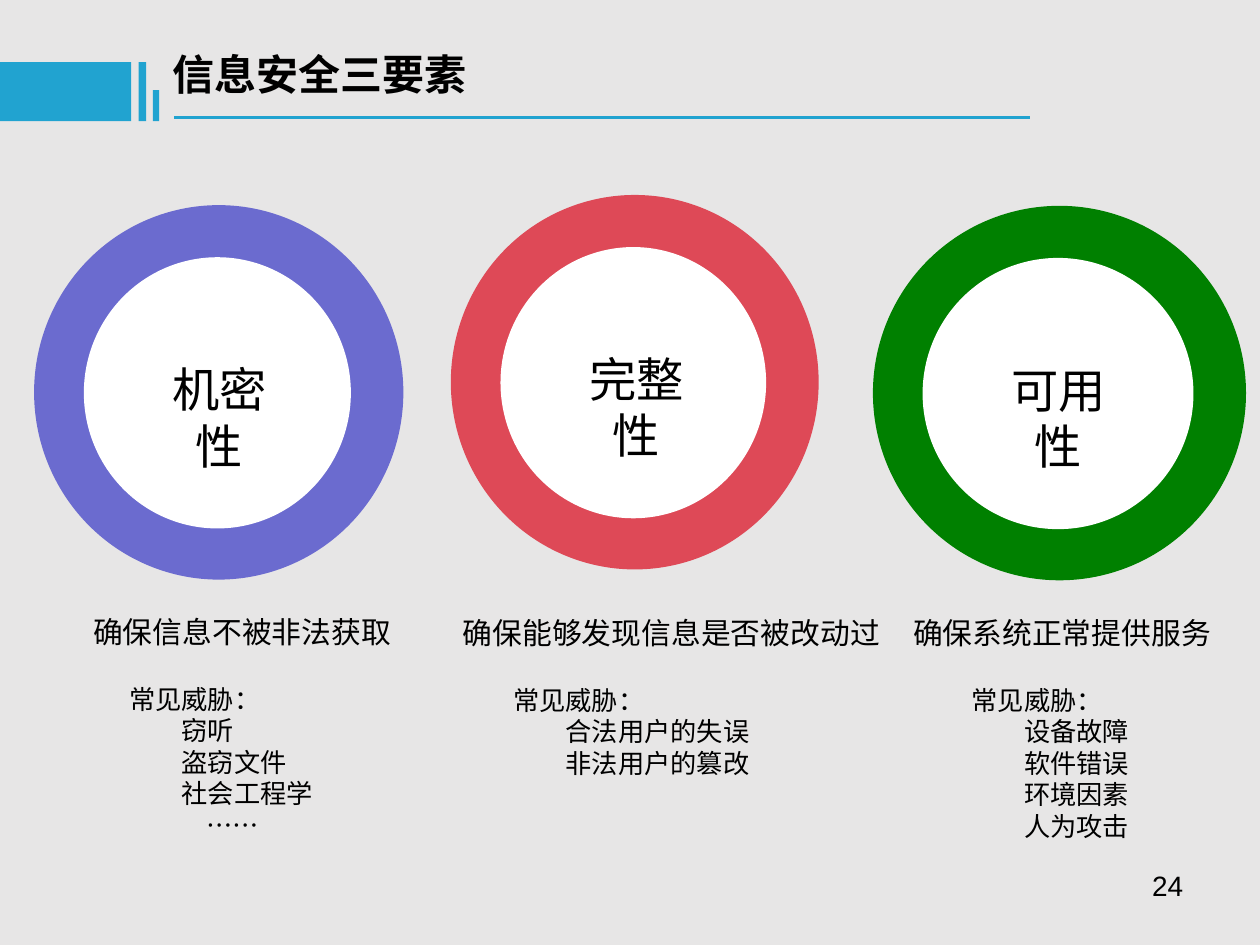
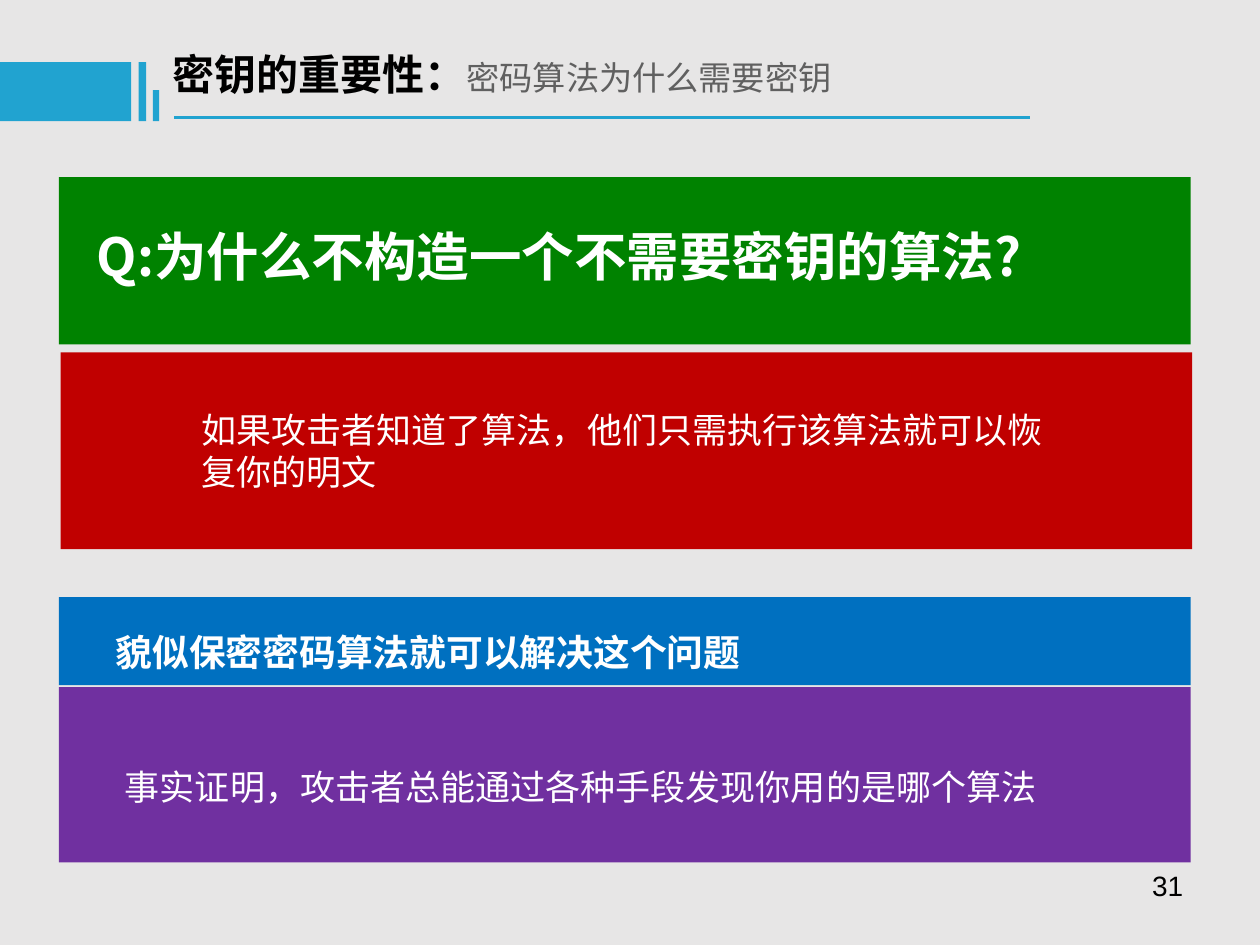
import pptx
import pptx.dml.color
import pptx.enum.shapes
import pptx.enum.text
import pptx.oxml.ns
import pptx.util
from lxml import etree

Pt = pptx.util.Pt
SHAPE = pptx.enum.shapes.MSO_SHAPE
ALIGN = pptx.enum.text.PP_ALIGN
HAN_FONT = "Noto Sans CJK SC"
BACKGROUND = "E7E6E6"
ACCENT = "21A3D0"
BLACK = "000000"
WHITE = "FFFFFF"
GREY = "606060"
WIDE_INSETS = (7.2, 3.6)
SLIM_INSETS = (5.76, 2.88)
NUMBER_INSETS = (7.9, 4.3)


def color(hex_code):
    return pptx.dml.color.RGBColor.from_string(hex_code)


def add_figure(shapes, preset, left, top, width, height, fill):
    figure = shapes.add_shape(preset, Pt(left), Pt(top), Pt(width), Pt(height))
    figure.shadow.inherit = False
    figure.fill.solid()
    figure.fill.fore_color.rgb = color(fill)
    figure.line.fill.background()


def add_box(shapes, left, top, width, height, insets=WIDE_INSETS, wrap=True):
    box = shapes.add_textbox(Pt(left), Pt(top), Pt(width), Pt(height))
    frame = box.text_frame
    frame.word_wrap = wrap
    frame.margin_left = frame.margin_right = Pt(insets[0])
    frame.margin_top = frame.margin_bottom = Pt(insets[1])
    return frame


def add_span(para, text, size, fill=BLACK, bold=False, font=HAN_FONT):
    span = para.add_run()
    span.text = text
    span.font.size = Pt(size)
    span.font.bold = bold
    span.font.color.rgb = color(fill)
    span.font.name = font
    east_asian = etree.SubElement(span.font._element, pptx.oxml.ns.qn("a:ea"))
    east_asian.set("typeface", HAN_FONT)


def indent(para, distance):
    properties = para._p.get_or_add_pPr()
    properties.set("marL", str(int(Pt(distance))))
    properties.set("indent", "0")


def add_title(page, title, subtitle):
    shapes = page.shapes.add_group_shape().shapes
    para = add_box(shapes, 91.5, 24, 492, 36).paragraphs[0]
    add_span(para, title, 24, bold=True)
    if subtitle:
        add_span(para, subtitle, 19, GREY)
    for left, top, width in ((0, 35.5, 75), (79.3, 35.5, 4.2), (87.3, 51.5, 3.7)):
        add_figure(shapes, SHAPE.RECTANGLE, left, top, width, 69.3 - top, ACCENT)
    rule = shapes.add_connector(pptx.enum.shapes.MSO_CONNECTOR.STRAIGHT,
                                Pt(99.5), Pt(67), Pt(588.5), Pt(67))
    rule.line.color.rgb = color(ACCENT)
    rule.line.width = Pt(1.5)
    etree.SubElement(rule._element.spPr, pptx.oxml.ns.qn("a:effectLst"))


def add_page(deck, title, number, subtitle=""):
    page = deck.slides.add_slide(deck.slide_layouts[6])
    page.background.fill.solid()
    page.background.fill.fore_color.rgb = color(BACKGROUND)
    add_title(page, title, subtitle)
    para = add_box(page.shapes, 516, 492, 168, 37, NUMBER_INSETS).paragraphs[0]
    para.alignment = ALIGN.RIGHT
    add_span(para, number, 16, font="Arial")
    return page


def add_ring(page, label, left, top, width, fill):
    shapes = page.shapes.add_group_shape().shapes
    add_figure(shapes, SHAPE.OVAL, left, top, width, 214, fill)
    add_figure(shapes, SHAPE.OVAL, left + 28.4, top + 29.8, width - 58.4, 155, WHITE)
    para = add_box(shapes, left + 58.5, top + 85, 95, 40, wrap=False).paragraphs[0]
    para.alignment = ALIGN.CENTER
    add_span(para, label, 27, font="Calibri")


def add_goal(page, goal, left, top, width):
    frame = add_box(page.shapes, left, top, width, 27, SLIM_INSETS, wrap=False)
    add_span(frame.paragraphs[0], goal, 17)


def add_threats(page, threats, left, top):
    frame = add_box(page.shapes, left, top, 156, 24 + 18 * len(threats), SLIM_INSETS)
    add_span(frame.paragraphs[0], "常见威胁：", 15)
    for threat in threats:
        para = frame.add_paragraph()
        indent(para, 44 if threat == "……" else 30)
        add_span(para, threat, 15)


def add_band(page, text, band, fill, text_area, size, bold=False, spacing=None):
    shapes = page.shapes.add_group_shape().shapes
    left, top, height = band
    add_figure(shapes, SHAPE.RECTANGLE, left, top, 646.6, height, fill)
    para = add_box(shapes, *text_area).paragraphs[0]
    para.line_spacing = spacing
    add_span(para, text, size, WHITE, bold)


def build_elements_page(deck):
    page = add_page(deck, "信息安全三要素", "24")
    add_ring(page, "机密性", 19.5, 117.2, 211, "6B6BCF")
    add_ring(page, "完整性", 257.6, 111.4, 210.2, "DE4957")
    add_ring(page, "可用性", 498.8, 117.6, 213.2, "008000")
    add_goal(page, "确保信息不被非法获取", 47.5, 347.6, 183)
    add_goal(page, "确保能够发现信息是否被改动过", 258.7, 348.6, 250.5)
    add_goal(page, "确保系统正常提供服务", 516, 348.6, 183)
    add_threats(page, ("窃听", "盗窃文件", "社会工程学", "……"), 68, 387.5)
    add_threats(page, ("合法用户的失误", "非法用户的篡改"), 287.5, 388)
    add_threats(page, ("设备故障", "软件错误", "环境因素", "人为攻击"), 549.5, 388)


def build_key_page(deck):
    page = add_page(deck, "密钥的重要性：", "31", "密码算法为什么需要密钥")
    add_band(page, "Q:为什么不构造一个不需要密钥的算法?", (33.7, 101.2, 95.6),
             "008200", (48.2, 124.6, 613.5, 43), 30, bold=True)
    add_band(page, "如果攻击者知道了算法，他们只需执行该算法就可以恢复你的明文",
             (34.6, 201.4, 112.4), "C00000", (108, 229.7, 500.5, 55.5), 20)
    add_band(page, "事实证明，攻击者总能通过各种手段发现你用的是哪个算法",
             (33.7, 392.6, 100.2), "7030A0", (64.3, 422, 574, 43), 20, spacing=1.5)
    add_band(page, "貌似保密密码算法就可以解决这个问题", (33.7, 341.2, 50.4),
             "0070C0", (59, 343.5, 595.5, 45), 21, bold=True, spacing=1.5)


def main():
    deck = pptx.Presentation()
    deck.slide_width = Pt(720)
    deck.slide_height = Pt(540)
    build_elements_page(deck)
    build_key_page(deck)
    deck.save("out.pptx")


if __name__ == "__main__":
    main()
